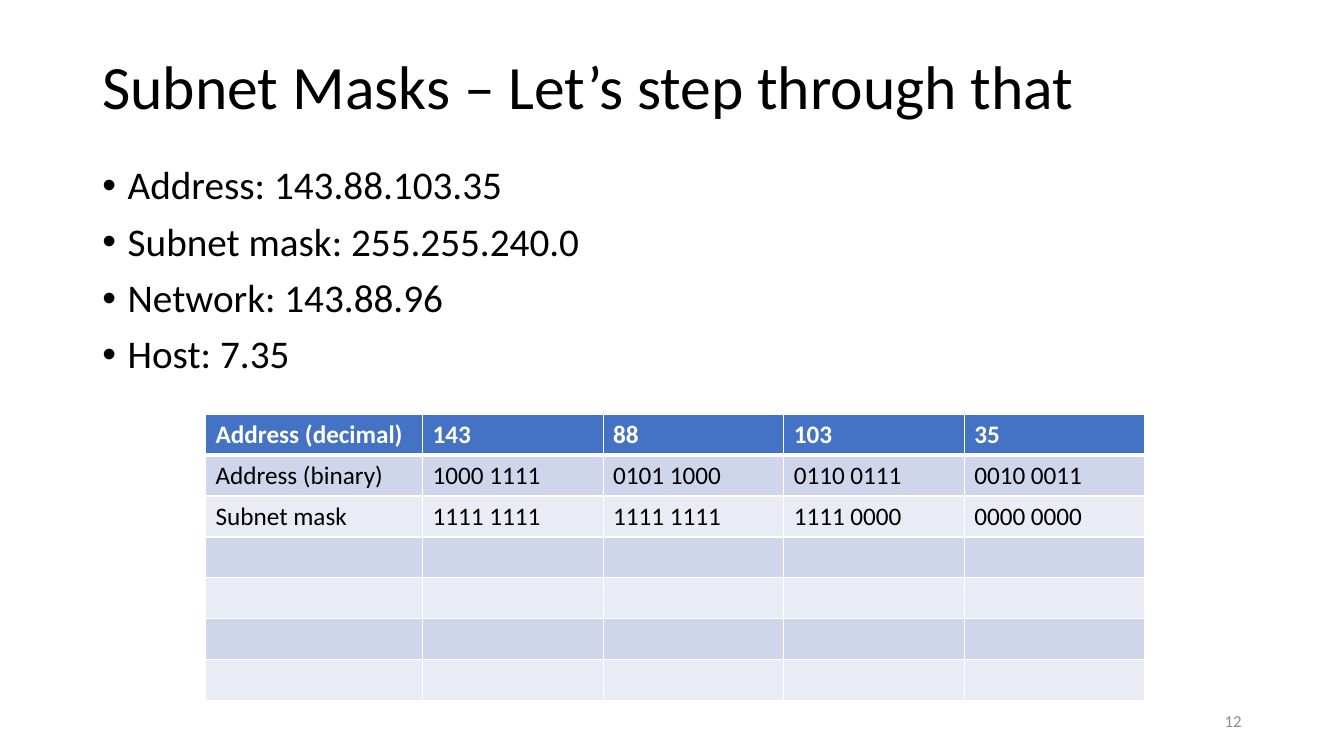
from lxml.etree import SubElement
from pptx import Presentation
from pptx.dml.color import RGBColor
from pptx.enum.text import MSO_ANCHOR, PP_ALIGN
from pptx.oxml.ns import qn
from pptx.util import Cm, Pt

# Content
TITLE = "Subnet Masks – Let’s step through that"
BULLETS = [
    "Address: 143.88.103.35",
    "Subnet mask: 255.255.240.0",
    "Network: 143.88.96",
    "Host: 7.35",
]
PAGE_NUMBER = "12"
TABLE_ROWS = [
    ["Address (decimal)", "143", "88", "103", "35"],
    ["Address (binary)", "1000 1111", "0101 1000", "0110 0111", "0010 0011"],
    ["Subnet mask", "1111 1111", "1111 1111", "1111 0000", "0000 0000"],
]
EMPTY_ROWS = 4

# Style
FONT = "Calibri"
BLACK = RGBColor(0x00, 0x00, 0x00)
WHITE = RGBColor(0xFF, 0xFF, 0xFF)
GRAY = RGBColor(0x8C, 0x8C, 0x8C)
HEADER_BLUE = RGBColor(0x44, 0x72, 0xC4)
BAND_DARK = RGBColor(0xCF, 0xD5, 0xEA)
BAND_LIGHT = RGBColor(0xE9, 0xEB, 0xF5)

# Measures in centimetres
MARGIN, CONTENT_WIDTH = 2.33, 29.21
TABLE_LEFT, TABLE_TOP = 5.18, 10.44
COLUMN_WIDTHS = [5.47] + [4.55] * 4
ROW_HEIGHT = 1.03
BULLET_INDENT = Cm(0.64)


def format_runs(paragraph, size, color, bold=False):
    for run in paragraph.runs:
        run.font.name = FONT
        run.font.size = Pt(size)
        run.font.color.rgb = color
        run.font.bold = bold


def add_text(slide, box, lines, size, color, anchor=MSO_ANCHOR.TOP):
    shape = slide.shapes.add_textbox(*(Cm(length) for length in box))
    text_frame = shape.text_frame
    text_frame.word_wrap = True
    text_frame.vertical_anchor = anchor
    text_frame.text = "\n".join(lines)
    for paragraph in text_frame.paragraphs:
        format_runs(paragraph, size, color)
    return text_frame.paragraphs


def add_bullet(paragraph):
    properties = paragraph._p.get_or_add_pPr()
    properties.set("marL", str(BULLET_INDENT))
    properties.set("indent", str(-BULLET_INDENT))
    SubElement(properties, qn("a:buFont"), typeface="Arial")
    SubElement(properties, qn("a:buChar"), char="•")


def add_border(cell, side, width):
    properties = cell._tc.get_or_add_tcPr()
    line = SubElement(properties, qn(f"a:ln{side}"), w=str(Pt(width)))
    fill = SubElement(line, qn("a:solidFill"))
    SubElement(fill, qn("a:srgbClr"), val=str(WHITE))


def add_address_table(slide):
    row_count = len(TABLE_ROWS) + EMPTY_ROWS
    table = slide.shapes.add_table(
        row_count, len(COLUMN_WIDTHS), Cm(TABLE_LEFT), Cm(TABLE_TOP),
        Cm(sum(COLUMN_WIDTHS)), Cm(ROW_HEIGHT * row_count)).table
    for column, width in zip(table.columns, COLUMN_WIDTHS):
        column.width = Cm(width)
    blank_row = [""] * len(COLUMN_WIDTHS)
    for row_index, texts in enumerate(TABLE_ROWS + [blank_row] * EMPTY_ROWS):
        is_header = row_index == 0
        band = BAND_DARK if row_index % 2 else BAND_LIGHT
        table.rows[row_index].height = Cm(ROW_HEIGHT)
        for cell, text in zip(table.rows[row_index].cells, texts):
            # The rule under the header is thicker than the others
            add_border(cell, "L", 1)
            add_border(cell, "R", 1)
            add_border(cell, "T", 3 if row_index == 1 else 1)
            add_border(cell, "B", 3 if is_header else 1)
            cell.fill.solid()
            cell.fill.fore_color.rgb = HEADER_BLUE if is_header else band
            cell.text_frame.text = text
            format_runs(cell.text_frame.paragraphs[0], 18,
                        WHITE if is_header else BLACK, is_header)


def main():
    presentation = Presentation()
    presentation.slide_width, presentation.slide_height = Cm(33.87), Cm(19.05)
    slide = presentation.slides.add_slide(presentation.slide_layouts[6])

    # Title
    title = add_text(slide, (MARGIN, 1.02, CONTENT_WIDTH, 2.46), [TITLE],
                     44, BLACK, MSO_ANCHOR.MIDDLE)
    title[0].line_spacing = 0.9

    # Bullet list
    bullets = add_text(slide, (MARGIN, 4.06, CONTENT_WIDTH, 14.6), BULLETS,
                       28, BLACK)
    for index, paragraph in enumerate(bullets):
        paragraph.line_spacing = 0.9
        paragraph.space_before = Pt(10 if index else 0)
        add_bullet(paragraph)

    # Page number
    number = add_text(slide, (23.92, 17.65, 7.62, 1.01), [PAGE_NUMBER],
                      12, GRAY, MSO_ANCHOR.MIDDLE)
    number[0].alignment = PP_ALIGN.RIGHT

    # Address table
    add_address_table(slide)

    presentation.save("out.pptx")


if __name__ == "__main__":
    main()
